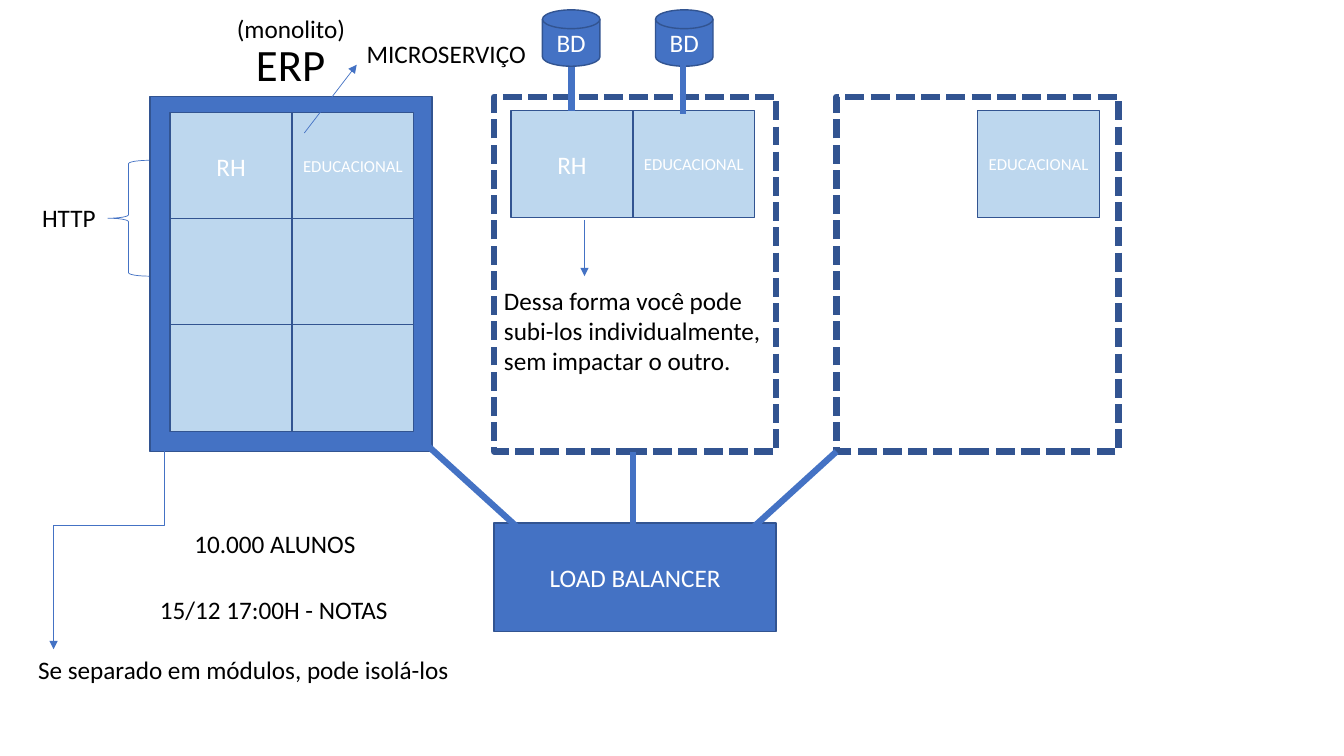
import pptx
import pptx.util
import pptx.dml.color
import pptx.enum.dml
import pptx.enum.shapes
import pptx.enum.text
import pptx.oxml.ns
import pptx.oxml.xmlchemy

Cm = pptx.util.Cm
Pt = pptx.util.Pt
RGBColor = pptx.dml.color.RGBColor
Shape = pptx.enum.shapes.MSO_SHAPE
Connector = pptx.enum.shapes.MSO_CONNECTOR

BLUE = RGBColor(0x44, 0x72, 0xC4)
DARK_BLUE = RGBColor(0x32, 0x54, 0x91)
LIGHT_BLUE = RGBColor(0xBD, 0xD7, 0xEE)
WHITE = RGBColor(0xFF, 0xFF, 0xFF)
BLACK = RGBColor(0x00, 0x00, 0x00)

THIN, THICK = 0.5, 4.5
PANEL_TOP, PANEL_WIDTH, PANEL_HEIGHT = 2.44, 7.11, 8.94
CELL_WIDTH, CELL_HEIGHT, ROW_PITCH = 3.07, 2.69, 2.67


# Basic parts, measured in centimetres
def format_text(text_frame, text, size, color):
    text_frame.text = text
    font = text_frame.paragraphs[0].runs[0].font
    font.name, font.size = "Calibri", Pt(size)
    font.color.rgb = color


def add_box(slide, kind, left, top, width, height, fill=None, line=DARK_BLUE,
            weight=1, text="", size=18):
    shape = slide.shapes.add_shape(kind, Cm(left), Cm(top), Cm(width), Cm(height))
    shape.shadow.inherit = False
    if fill is None:
        shape.fill.background()
    else:
        shape.fill.solid()
        shape.fill.fore_color.rgb = fill
    shape.line.color.rgb = line
    shape.line.width = Pt(weight)
    if text:
        text_frame = shape.text_frame
        format_text(text_frame, text, size, WHITE)
        text_frame.word_wrap = True
        text_frame.vertical_anchor = pptx.enum.text.MSO_ANCHOR.MIDDLE
        text_frame.paragraphs[0].alignment = pptx.enum.text.PP_ALIGN.CENTER
    return shape


def add_label(slide, text, left, top, width, height=1.03, size=18, wrap=False):
    text_box = slide.shapes.add_textbox(Cm(left), Cm(top), Cm(width), Cm(height))
    text_frame = text_box.text_frame
    format_text(text_frame, text, size, BLACK)
    text_frame.word_wrap = wrap
    text_frame.auto_size = pptx.enum.text.MSO_AUTO_SIZE.SHAPE_TO_FIT_TEXT


def add_line(slide, x1, y1, x2, y2, weight, arrow=False, kind=Connector.STRAIGHT):
    connector = slide.shapes.add_connector(kind, Cm(x1), Cm(y1), Cm(x2), Cm(y2))
    connector.line.color.rgb = BLUE
    connector.line.width = Pt(weight)
    if arrow:
        tail = pptx.oxml.xmlchemy.OxmlElement("a:tailEnd")
        tail.set("type", "triangle")
        connector.line._get_or_add_ln().append(tail)
    connector._element.spPr.append(pptx.oxml.xmlchemy.OxmlElement("a:effectLst"))
    return connector


def set_transform(shape, name, value):
    shape._element.spPr.find(pptx.oxml.ns.qn("a:xfrm")).set(name, value)


def add_down_elbow(slide, x1, y1, x2, y2):
    """Arrow that goes down, left and down: an elbow turned by 90 degrees."""
    center_x, center_y = (x1 + x2) / 2, (y1 + y2) / 2
    half_length, half_width = (y2 - y1) / 2, (x1 - x2) / 2
    elbow = add_line(slide, center_x - half_length, center_y - half_width,
                     center_x + half_length, center_y + half_width,
                     THIN, arrow=True, kind=Connector.ELBOW)
    set_transform(elbow, "rot", "5400000")


def add_module(slide, left, top, text="", size=18):
    add_box(slide, Shape.RECTANGLE, left, top, CELL_WIDTH, CELL_HEIGHT,
            fill=LIGHT_BLUE, text=text, size=size)


def add_server(slide, left, top):
    server = add_box(slide, Shape.RECTANGLE, left, top, PANEL_WIDTH, PANEL_HEIGHT,
                     weight=THICK)
    server.line.dash_style = pptx.enum.dml.MSO_LINE.SQUARE_DOT


# Regions
def draw_monolith(slide, left, top):
    add_box(slide, Shape.RECTANGLE, left, top, PANEL_WIDTH, PANEL_HEIGHT, fill=BLUE)
    modules = [("RH", 18), ("EDUCACIONAL", 12)] + [("", 18)] * 4
    for index, (text, size) in enumerate(modules):
        row, column = divmod(index, 2)
        add_module(slide, left + 0.51 + column * CELL_WIDTH,
                   top + 0.4 + row * ROW_PITCH, text, size)

    # Titles and callouts
    add_label(slide, "(monolito)", left + 1.94, top - 2.24, 3.28)
    add_label(slide, "ERP", left + 2.42, top - 1.63, 2.29, 1.62, size=32)
    add_line(slide, left + 3.89, top + 0.91, left + 5.21, top - 0.81, THIN, arrow=True)
    add_label(slide, "MICROSERVIÇO", left + 5.21, top - 1.6, 4.55)
    brace = add_box(slide, Shape.RIGHT_BRACE, left - 1.06, top + 1.6, 1.04, 2.92,
                    line=BLUE, weight=THIN)
    set_transform(brace, "flipH", "1")
    add_label(slide, "HTTP", left - 2.97, top + 2.54, 1.88)

    # Notes below
    add_label(slide, "10.000 ALUNOS", left + 0.87, top + 10.74, 4.62)
    add_label(slide, "15/12 17:00H - NOTAS", left, top + 12.42, 6.32)
    add_down_elbow(slide, left + 0.36, top + 7.69, left - 2.43, top + 13.92)
    add_label(slide, "Se separado em módulos, pode isolá-los",
              left - 3.07, top + 13.92, 10.97, wrap=True)


def draw_split_server(slide, left, top):
    add_server(slide, left, top)
    add_module(slide, left + 3.5, top + 0.35, "EDUCACIONAL", 12)
    add_module(slide, left + 0.43, top + 0.35, "RH")

    # Databases with their links: disk left, link x, link top, link bottom
    for disk_left, link_x, link_top, link_bottom in (
            (1.22, 1.95, -0.76, 0.35), (4.07, 4.77, -0.94, 0.43)):
        add_box(slide, Shape.FLOWCHART_MAGNETIC_DISK, left + disk_left, top - 2.19,
                1.45, 1.42, fill=BLUE, text="BD")
        add_line(slide, left + link_x, top + link_top,
                 left + link_x, top + link_bottom, THICK)

    # Explanation
    add_line(slide, left + 2.28, top + 3.1, left + 2.28, top + 4.52, THIN, arrow=True)
    add_label(slide, "Dessa forma você pode subi-los individualmente, "
              "sem impactar o outro.", left, top + 4.62, PANEL_WIDTH, 2.57, wrap=True)


def draw_single_server(slide, left, top):
    add_server(slide, left, top)
    add_module(slide, left + 3.56, top + 0.35, "EDUCACIONAL", 12)


def draw_load_balancer(slide, left, top):
    add_box(slide, Shape.RECTANGLE, left, top, PANEL_WIDTH, 2.74, fill=BLUE,
            text="LOAD BALANCER")
    for x1, y1, x2, y2 in ((-1.65, -1.93, 0.89, 0.38), (8.63, -1.8, 6.09, 0.51),
                           (3.5, -1.8, 3.5, 0.26)):
        add_line(slide, left + x1, top + y1, left + x2, top + y2, THICK)


def main():
    presentation = pptx.Presentation()
    presentation.slide_width, presentation.slide_height = Cm(33.87), Cm(19.05)
    slide = presentation.slides.add_slide(presentation.slide_layouts[6])
    draw_monolith(slide, 3.78, PANEL_TOP)
    draw_split_server(slide, 12.45, PANEL_TOP)
    draw_single_server(slide, 21.08, PANEL_TOP)
    draw_load_balancer(slide, 12.45, 13.18)
    presentation.save("out.pptx")


if __name__ == "__main__":
    main()
